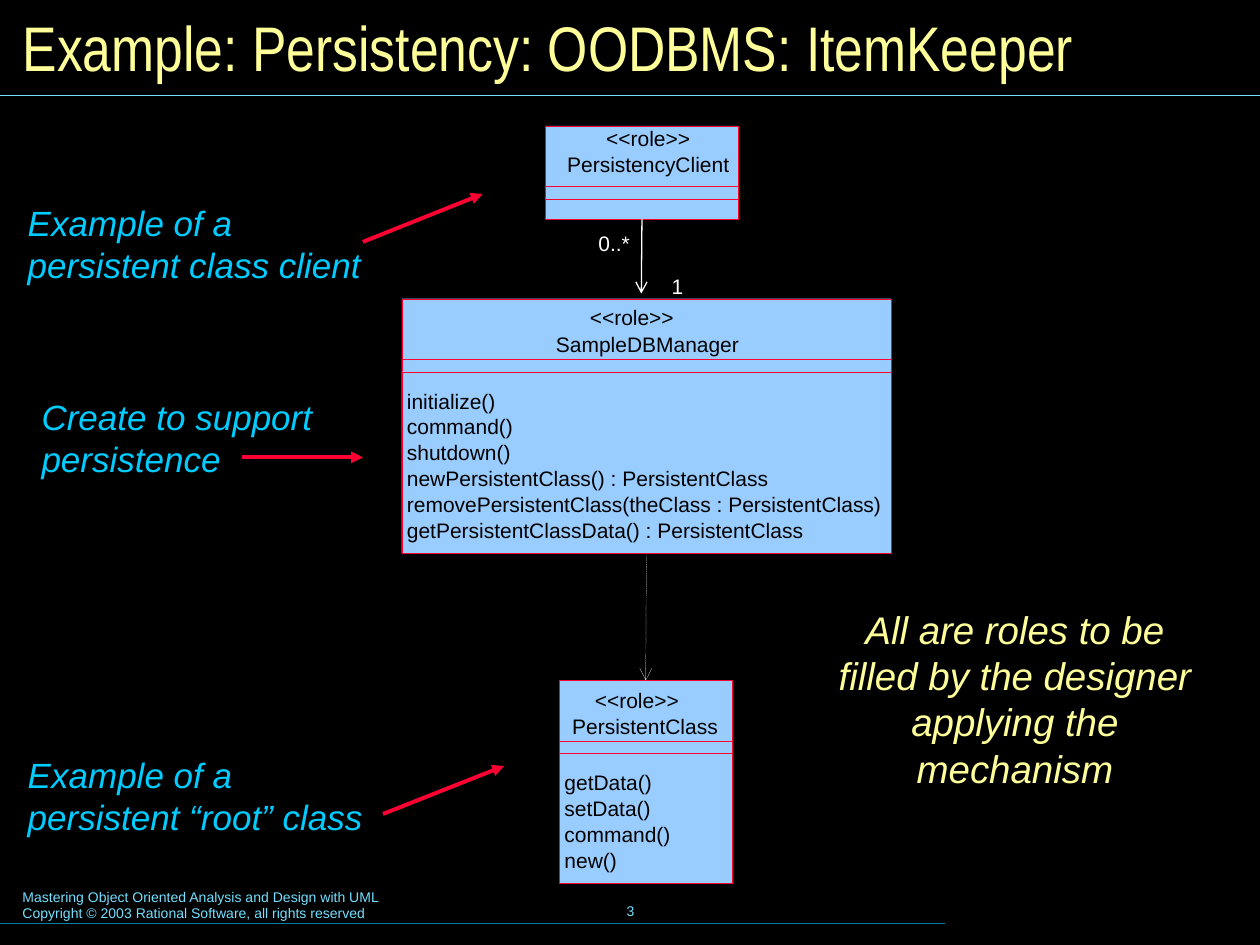
from lxml import etree
from pptx import Presentation
from pptx import util as u
from pptx.dml.color import RGBColor
from pptx.enum import dml, shapes, text
from pptx.oxml.ns import qn

BLACK = RGBColor(0x00, 0x00, 0x00)
WHITE = RGBColor(0xFF, 0xFF, 0xFF)
YELLOW = RGBColor(0xFF, 0xFF, 0x99)
CYAN = RGBColor(0x00, 0xCC, 0xFF)
PALE_CYAN = RGBColor(0x73, 0xE1, 0xFF)
TEAL = RGBColor(0x00, 0x7E, 0x9F)
RED = RGBColor(0xFF, 0x00, 0x33)
BOX_BLUE = RGBColor(0x99, 0xCC, 0xFF)

HAIRLINE = 0.1
LABEL_HEIGHT = 0.2
MEMBER_PITCH = 0.206
HEADING_HEIGHT = 0.48
ATTRIBUTES_HEIGHT = 0.1
MEMBER_INSET = 0.04
MEMBER_GAP = 0.13


def format_text(shape, lines, size=12, color=BLACK, font="Arial", italic=False,
                align=text.PP_ALIGN.LEFT, anchor=text.MSO_ANCHOR.TOP,
                margins=(0, 0), wrap=False, fit=True):
    frame = shape.text_frame
    frame.margin_left = frame.margin_right = u.Inches(margins[0])
    frame.margin_top = frame.margin_bottom = u.Inches(margins[1])
    frame.word_wrap = wrap
    frame.auto_size = (text.MSO_AUTO_SIZE.SHAPE_TO_FIT_TEXT if fit
                       else text.MSO_AUTO_SIZE.NONE)
    frame.vertical_anchor = anchor
    frame.text = "\n".join(lines)
    for paragraph in frame.paragraphs:
        paragraph.alignment = align
        for run in paragraph.runs:
            run.font.size = u.Pt(size)
            run.font.name = font
            run.font.italic = italic
            run.font.color.rgb = color


def add_text(slide, box, lines, **formatting):
    shape = slide.shapes.add_textbox(*map(u.Inches, box))
    format_text(shape, lines, **formatting)
    return shape


def add_line(slide, start, end, color, width, head=None, dash=None):
    line = slide.shapes.add_connector(
        shapes.MSO_CONNECTOR.STRAIGHT, *map(u.Inches, (*start, *end)))
    line.line.color.rgb = color
    line.line.width = u.Pt(width)
    if dash:
        line.line.dash_style = dash
    if head:
        outline = line.line._get_or_add_ln()
        etree.SubElement(outline, qn("a:tailEnd"), type=head)
    etree.SubElement(line._element.spPr, qn("a:effectLst"))
    return line


def add_box(slide, box):
    shape = slide.shapes.add_shape(shapes.MSO_SHAPE.RECTANGLE, *map(u.Inches, box))
    shape.shadow.inherit = False
    shape.fill.solid()
    shape.fill.fore_color.rgb = BOX_BLUE
    shape.line.color.rgb = RED
    shape.line.width = u.Pt(HAIRLINE)
    return shape


def add_title(slide, box, title):
    shape = slide.shapes.title
    shape.left, shape.top, shape.width, shape.height = map(u.Inches, box)
    format_text(shape, [title], size=36, color=YELLOW, font="Arial Narrow",
                anchor=text.MSO_ANCHOR.MIDDLE, margins=(0.1, 0.05),
                wrap=True, fit=False)
    add_line(slide, (0, 0.76), (10, 0.76), PALE_CYAN, 0.75)


def add_footer(slide, box, lines, number):
    left, top, width, height = box
    add_text(slide, (left, top, 5.1, 0.37), lines, size=8, color=PALE_CYAN,
             margins=(0.1, 0.05), wrap=True)
    add_text(slide, (3.42, 6.98, 3.17, 0.5), [number], size=8, color=PALE_CYAN,
             align=text.PP_ALIGN.CENTER, anchor=text.MSO_ANCHOR.MIDDLE,
             margins=(0.1, 0.05), fit=False)
    add_line(slide, (0, top + height), (width, top + height), TEAL, 0.75)


def add_class(slide, box, headings, members=()):
    left, top, width, height = box
    outer = add_box(slide, box)
    operations_offset = HEADING_HEIGHT + ATTRIBUTES_HEIGHT
    for offset in (HEADING_HEIGHT, operations_offset):
        add_box(slide, (left, top + offset, width, height - offset))
    for lines, heading_left, offset, heading_width in headings:
        add_text(slide, (heading_left, top + offset, heading_width,
                         LABEL_HEIGHT * len(lines)),
                 lines, align=text.PP_ALIGN.CENTER)
    first_top = top + operations_offset + MEMBER_GAP
    for index, member in enumerate(members):
        add_text(slide, (left + MEMBER_INSET, first_top + index * MEMBER_PITCH,
                         width - 2 * MEMBER_INSET, LABEL_HEIGHT), [member])
    return outer


def add_callout(slide, box, caption, arrow_start, arrow_end):
    add_text(slide, box, [caption], size=20, color=CYAN, italic=True,
             margins=(0.12, 0.06), wrap=True)
    add_line(slide, arrow_start, arrow_end, RED, 2.25, head="triangle")


def add_class_diagram(slide):
    client = add_class(
        slide, (4.33, 1, 1.53, 0.74),
        [(["<<role>>", "PersistencyClient"], 4.5, 0, 1.29)])
    manager = add_class(
        slide, (3.19, 2.37, 3.88, 2.02),
        [(["<<role>>"], 4.68, 0.05, 0.67),
         (["SampleDBManager"], 4.41, 0.26, 1.46)],
        ["initialize()", "command()", "shutdown()",
         "newPersistentClass() : PersistentClass",
         "removePersistentClass(theClass : PersistentClass)",
         "getPersistentClassData() : PersistentClass"])
    persistent = add_class(
        slide, (4.44, 5.4, 1.37, 1.61),
        [(["<<role>>"], 4.72, 0.06, 0.67),
         (["PersistentClass"], 4.54, 0.26, 1.16)],
        ["getData()", "setData()", "command()", "new()"])

    association = add_line(slide, (5.09, 1.74), (5.09, 2.33), WHITE, 0.75, head="arrow")
    association.begin_connect(client, 2)
    dependency = add_line(slide, (5.13, 4.39), (5.13, 5.4), WHITE, HAIRLINE,
                          head="arrow", dash=dml.MSO_LINE.LONG_DASH)
    dependency.begin_connect(manager, 2)
    dependency.end_connect(persistent, 0)
    add_text(slide, (4.75, 1.83, 0.25, LABEL_HEIGHT), ["0..*"], color=WHITE)
    add_text(slide, (5.33, 2.17, 0.09, LABEL_HEIGHT), ["1"], color=WHITE)


def main():
    presentation = Presentation()
    presentation.slide_width = u.Inches(10)
    presentation.slide_height = u.Inches(7.5)
    slide = presentation.slides.add_slide(presentation.slide_layouts[5])
    slide.background.fill.solid()
    slide.background.fill.fore_color.rgb = BLACK

    add_title(slide, (0.08, 0.08, 9.84, 0.58),
              "Example: Persistency: OODBMS: ItemKeeper")
    add_footer(slide, (0.08, 7, 7.5, 0.33),
               ["Mastering Object Oriented Analysis and Design with UML",
                "Copyright © 2003 Rational Software, all rights reserved"], "3")
    add_class_diagram(slide)
    add_callout(slide, (0.1, 1.54, 3, 0.79), "Example of a persistent class client",
                (2.88, 1.92), (3.83, 1.54))
    add_callout(slide, (0.21, 3.08, 3, 0.79), "Create to support persistence",
                (1.92, 3.63), (2.88, 3.63))
    add_callout(slide, (0.1, 5.92, 3, 0.79), "Example of a persistent “root” class",
                (3.04, 6.46), (4, 6.08))
    add_text(slide, (6.5, 4.75, 3.11, 1.58),
             ["All are roles to be filled by the designer applying the mechanism"],
             size=22, color=YELLOW, italic=True, align=text.PP_ALIGN.CENTER,
             margins=(0.12, 0.06), wrap=True)
    presentation.save("out.pptx")


if __name__ == "__main__":
    main()
